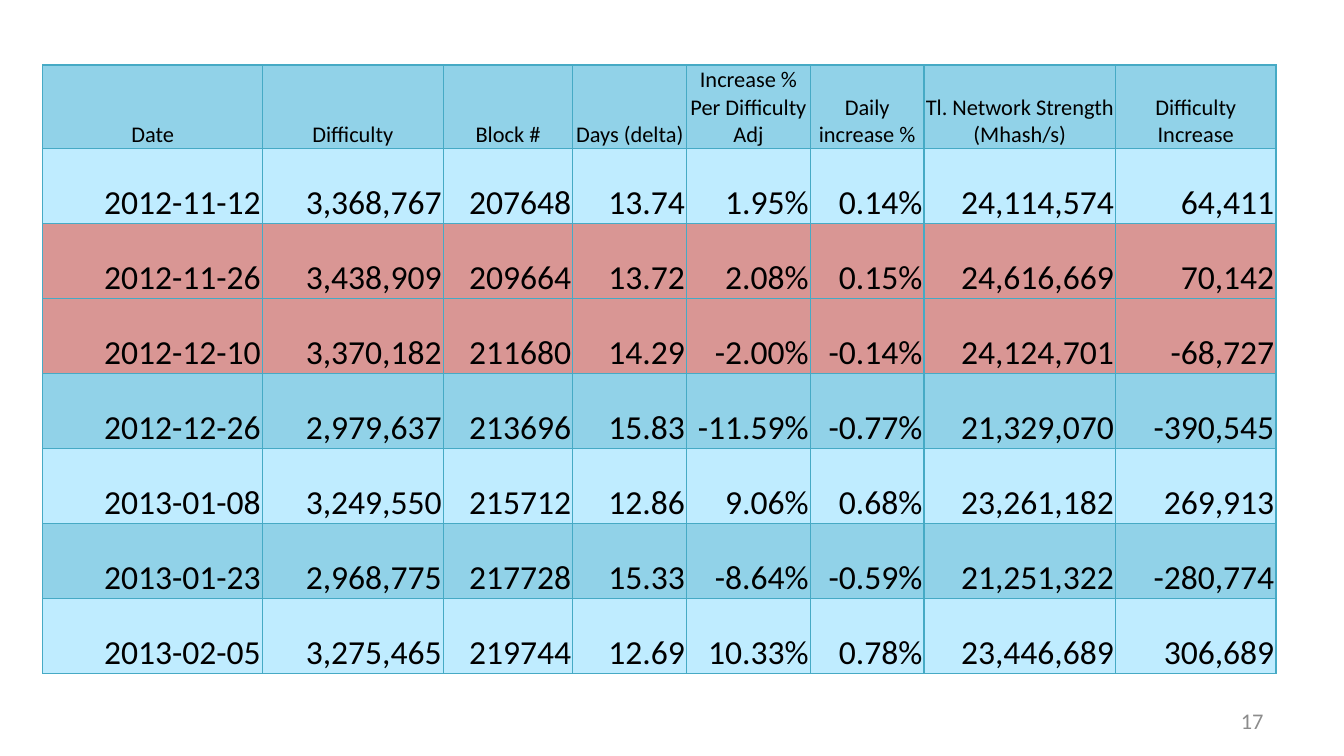
from lxml.etree import SubElement
from pptx import Presentation
from pptx.dml.color import RGBColor
from pptx.enum.text import MSO_ANCHOR, PP_ALIGN
from pptx.oxml.ns import qn
from pptx.util import Cm, Pt

FONT = "Calibri"
COLORS = {
    "text": "000000",
    "page_number": "8C8C8C",
    "grid": "46AAC5",
    "dark_band": "91D2E8",
    "light_band": "BFECFF",
    "highlight": "D99694",
}
COLUMN_WIDTHS = [4.15, 3.42, 2.45, 2.15, 2.34, 2.15, 3.62, 3.03]
HEADINGS = [
    "Date", "Difficulty", "Block #", "Days (delta)",
    "Increase %\vPer Difficulty Adj", "Daily increase %",
    "Tl. Network Strength\v(Mhash/s)", "Difficulty\vIncrease",
]
ADJUSTMENTS = [
    ["2012-11-12", "3,368,767", "207648", "13.74", "1.95%", "0.14%", "24,114,574", "64,411"],
    ["2012-11-26", "3,438,909", "209664", "13.72", "2.08%", "0.15%", "24,616,669", "70,142"],
    ["2012-12-10", "3,370,182", "211680", "14.29", "-2.00%", "-0.14%", "24,124,701", "-68,727"],
    ["2012-12-26", "2,979,637", "213696", "15.83", "-11.59%", "-0.77%", "21,329,070", "-390,545"],
    ["2013-01-08", "3,249,550", "215712", "12.86", "9.06%", "0.68%", "23,261,182", "269,913"],
    ["2013-01-23", "2,968,775", "217728", "15.33", "-8.64%", "-0.59%", "21,251,322", "-280,774"],
    ["2013-02-05", "3,275,465", "219744", "12.69", "10.33%", "0.78%", "23,446,689", "306,689"],
]
HIGHLIGHTED_DATES = {"2012-11-26", "2012-12-10"}


def format_paragraph(paragraph, size, color, align):
    paragraph.alignment = align
    paragraph.font.name = FONT
    paragraph.font.size = Pt(size)
    paragraph.font.color.rgb = RGBColor.from_string(COLORS[color])


def add_borders(cell):
    """Draw all four borders; they must come before the fill in the cell XML."""
    properties = cell._tc.get_or_add_tcPr()
    for side in ("a:lnL", "a:lnR", "a:lnT", "a:lnB"):
        border = SubElement(properties, qn(side), w=str(Pt(0.75)))
        fill = SubElement(border, qn("a:solidFill"))
        SubElement(fill, qn("a:srgbClr"), val=COLORS["grid"])


def fill_cell(cell, content, size, align, band):
    cell.text = content
    cell.vertical_anchor = MSO_ANCHOR.BOTTOM
    cell.margin_left = cell.margin_right = cell.margin_top = Cm(0.03)
    cell.margin_bottom = 0
    add_borders(cell)
    cell.fill.solid()
    cell.fill.fore_color.rgb = RGBColor.from_string(COLORS[band])
    format_paragraph(cell.text_frame.paragraphs[0], size, "text", align)


def band_for(index, row):
    if row[0] in HIGHLIGHTED_DATES:
        return "highlight"
    return "light_band" if index % 2 else "dark_band"


def add_difficulty_table(slide, left, top, width, height):
    rows = [HEADINGS, *ADJUSTMENTS]
    table = slide.shapes.add_table(
        len(rows), len(HEADINGS), left, top, width, height).table
    for column, share in zip(table.columns, COLUMN_WIDTHS):
        column.width = int(width * share / sum(COLUMN_WIDTHS))
    for r, row in enumerate(rows):
        size, align = (18, PP_ALIGN.RIGHT) if r else (12, PP_ALIGN.CENTER)
        for c, content in enumerate(row):
            fill_cell(table.cell(r, c), content, size, align, band_for(r, row))


def add_page_number(slide, number, left, top, width, height):
    frame = slide.shapes.add_textbox(left, top, width, height).text_frame
    frame.word_wrap = True
    frame.vertical_anchor = MSO_ANCHOR.MIDDLE
    frame.text = number
    format_paragraph(frame.paragraphs[0], 12, "page_number", PP_ALIGN.RIGHT)


def main():
    presentation = Presentation()
    presentation.slide_width, presentation.slide_height = Cm(25.4), Cm(14.29)
    blank_layout = presentation.slide_layouts[6]
    slide = presentation.slides.add_slide(blank_layout)
    add_difficulty_table(slide, Cm(0.81), Cm(1.23), Cm(23.31), Cm(11.35))
    add_page_number(slide, "17", Cm(18.2), Cm(13.24), Cm(5.93), Cm(0.76))
    presentation.save("out.pptx")


if __name__ == "__main__":
    main()
